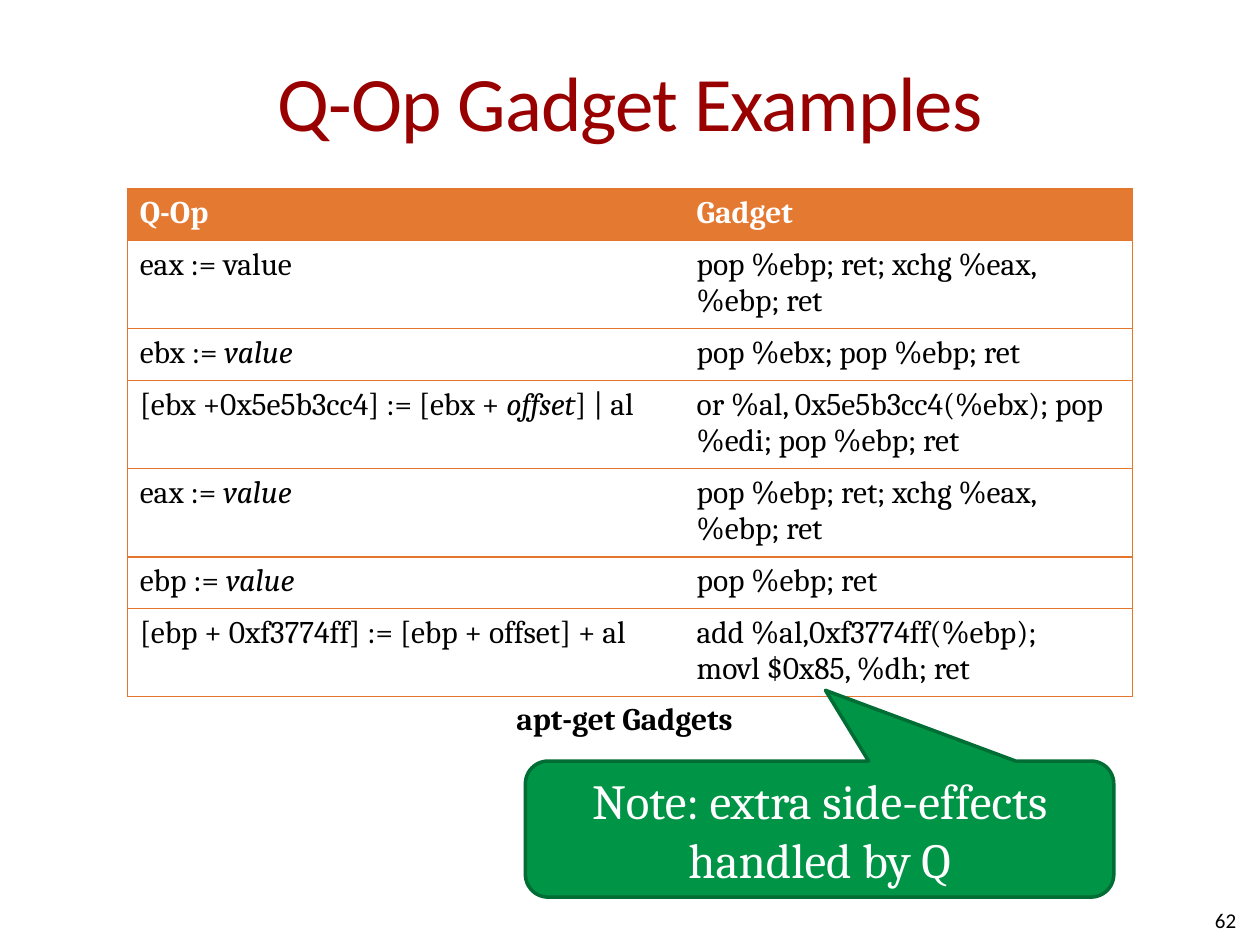
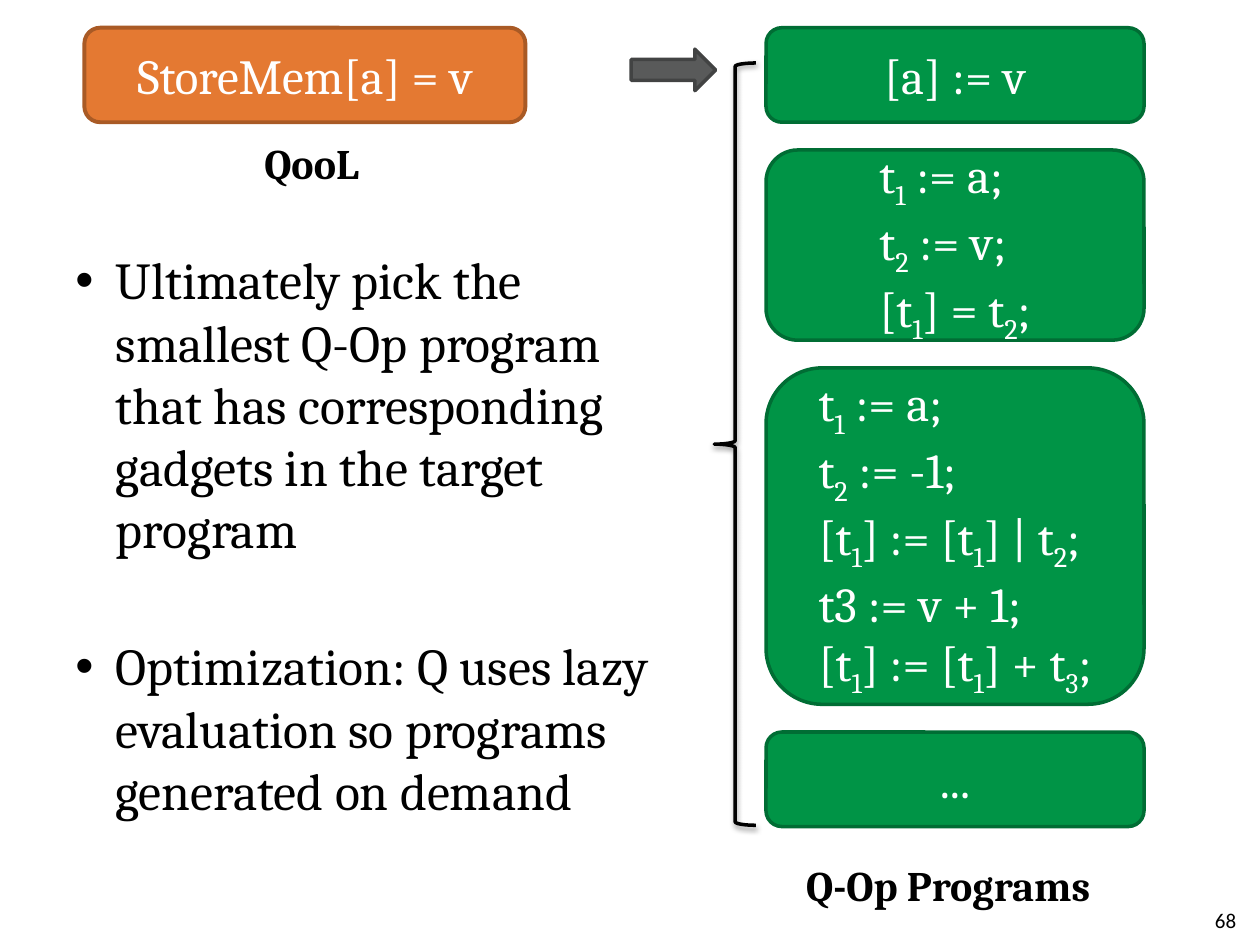
from pptx import Presentation
from pptx.dml.color import RGBColor
from pptx.enum.shapes import MSO_SHAPE
from pptx.enum.text import MSO_ANCHOR, PP_ALIGN
from pptx.oxml import parse_xml
from pptx.oxml.ns import nsdecls
from pptx.util import Pt

PX = 9144
BLACK = RGBColor(0x00, 0x00, 0x00)
WHITE = RGBColor(0xFF, 0xFF, 0xFF)
TITLE_RED = RGBColor(0x99, 0x00, 0x00)
ORANGE = RGBColor(0xE4, 0x79, 0x32)
DARK_ORANGE = RGBColor(0xA9, 0x5A, 0x25)
RULE_ORANGE = RGBColor(0xE3, 0x75, 0x2D)
GREEN = RGBColor(0x00, 0x94, 0x46)
DARK_GREEN = RGBColor(0x00, 0x6D, 0x34)
GRAY = RGBColor(0x59, 0x5A, 0x5A)
DARK_GRAY = RGBColor(0x42, 0x43, 0x43)
HEADING_FONT = "Calibri"
BODY_FONT = "Cambria"

GADGETS = [
    ("Q-Op", "Gadget"),
    ("eax := value", "pop %ebp; ret; xchg %eax, %ebp; ret"),
    ("ebx := ~value~", "pop %ebx; pop %ebp; ret"),
    ("[ebx +0x5e5b3cc4] := [ebx + ~offset~] | al",
     "or %al, 0x5e5b3cc4(%ebx); pop %edi; pop %ebp; ret"),
    ("eax := ~value~", "pop %ebp; ret; xchg %eax, %ebp; ret"),
    ("ebp := ~value~", "pop %ebp; ret"),
    ("[ebp + 0xf3774ff] := [ebp + offset] + al",
     "add %al,0xf3774ff(%ebp);\nmovl $0x85, %dh; ret"),
]
PROGRAMS = [
    (75, "[a] := v"),
    (151, "t~1~ := a;\nt~2~ := v;\n[t~1~] = t~2~;"),
    (267, "t~1~ := a;\nt~2~ := -1;\n[t~1~] := [t~1~] | t~2~;\n"
          "t3 := v + 1;\n[t~1~] := [t~1~] + t~3~;"),
    (75, "..."),
]
POINTS = ("Ultimately pick the smallest Q-Op program that has corresponding "
          "gadgets in the target program\n"
          "Optimization: Q uses lazy evaluation so programs generated on demand")


def write(frame, text, size=18, color=BLACK, font=BODY_FONT, bold=False,
          align=PP_ALIGN.LEFT, subscript=False, bullet=False, gap=0, tracking=0):
    """Fill a frame line by line; parts between tildes are subscript or italic."""
    for row, line in enumerate(text.split("\n")):
        para = frame.add_paragraph() if row else frame.paragraphs[0]
        para.alignment = align
        if bullet:
            props = para._p.get_or_add_pPr()
            props.set("marL", str(32 * PX))
            props.set("indent", str(-32 * PX))
            props.append(parse_xml(f'<a:buFont {nsdecls("a")} typeface="Arial"/>'))
            props.append(parse_xml(f'<a:buChar {nsdecls("a")} char="•"/>'))
        if row and gap:
            para.space_before = Pt(gap)
        for part, words in enumerate(line.split("~")):
            if not words:
                continue
            span = para.add_run()
            span.text = words
            span.font.name = font
            span.font.size = Pt(size)
            span.font.bold = bold
            span.font.color.rgb = color
            marked = part % 2 == 1
            span.font.italic = marked and not subscript
            if marked and subscript:
                span._r.get_or_add_rPr().set("baseline", "-25000")
            if tracking:
                span._r.get_or_add_rPr().set("spc", str(tracking))


class Deck:
    """Holds the presentation, its style and the current page."""

    def __init__(self):
        """Start a deck of ten by seven and a half inches."""
        self.deck = Presentation()
        self.deck.slide_width, self.deck.slide_height = 1000 * PX, 750 * PX
        self.page = None

    def add_page(self, number, title=None):
        """Open a blank page with its number and an optional title."""
        self.page = self.deck.slides.add_slide(self.deck.slide_layouts[6])
        if title:
            self.text(50, 17, 900, 125, title, anchor=MSO_ANCHOR.MIDDLE, size=44,
                      color=TITLE_RED, font=HEADING_FONT, align=PP_ALIGN.CENTER,
                      tracking=-50)
        self.text(758, 710, 233, 40, number, anchor=MSO_ANCHOR.MIDDLE, size=12,
                  font=HEADING_FONT, align=PP_ALIGN.RIGHT)

    def text(self, left, top, width, height, text, anchor=MSO_ANCHOR.TOP, **style):
        """Add a wrapped text box."""
        box = self.page.shapes.add_textbox(left * PX, top * PX, width * PX, height * PX)
        box.text_frame.word_wrap = True
        box.text_frame.vertical_anchor = anchor
        write(box.text_frame, text, **style)

    def shape(self, kind, left, top, width, height, fill=None, line=BLACK, weight=2):
        """Add a preset shape without shadow."""
        box = self.page.shapes.add_shape(kind, left * PX, top * PX, width * PX, height * PX)
        box.shadow.inherit = False
        if fill is None:
            box.fill.background()
        else:
            box.fill.solid()
            box.fill.fore_color.rgb = fill
        box.line.color.rgb = line
        box.line.width = Pt(weight)
        return box

    def label(self, box, text, align=PP_ALIGN.CENTER):
        """Write large white text in the middle of a shape."""
        box.text_frame.word_wrap = True
        box.text_frame.vertical_anchor = MSO_ANCHOR.MIDDLE
        write(box.text_frame, text, size=28, color=WHITE, align=align, subscript=True)

    def program(self, left, top, width, height, text):
        """Add a green box whose left-aligned lines are centred as a block."""
        box = self.shape(MSO_SHAPE.ROUNDED_RECTANGLE, left, top, width, height,
                         GREEN, DARK_GREEN)
        self.label(box, text, PP_ALIGN.LEFT)
        box.text_frame.word_wrap = False
        box.element.txBody.bodyPr.set("anchorCtr", "1")

    def brace(self, left, top, width, height):
        """Add a left brace with a soft shadow below it."""
        brace = self.shape(MSO_SHAPE.LEFT_BRACE, left, top, width, height)
        effects = brace.element.spPr.find("{*}effectLst")
        effects.append(parse_xml(
            f'<a:outerShdw {nsdecls("a")} blurRad="40000" dist="20000" dir="5400000" '
            'rotWithShape="0"><a:srgbClr val="000000"><a:alpha val="38000"/>'
            '</a:srgbClr></a:outerShdw>'))

    def table(self, left, top, widths, row_height, rows):
        """Add a table with an orange header, frame and row rules."""
        grid = self.page.shapes.add_table(
            len(rows), len(widths), left * PX, top * PX,
            sum(widths) * PX, len(rows) * row_height * PX).table
        grid.horz_banding = False
        for column, width in enumerate(widths):
            grid.columns[column].width = width * PX
        for row, texts in enumerate(rows):
            grid.rows[row].height = row_height * PX
            for column, text in enumerate(texts):
                cell = grid.cell(row, column)
                header = row == 0
                if header:
                    cell.fill.solid()
                    cell.fill.fore_color.rgb = ORANGE
                else:
                    cell.fill.background()
                write(cell.text_frame, text, color=WHITE if header else BLACK, bold=header)
                self.borders(cell, column == 0, column == len(widths) - 1)

    def borders(self, cell, first, last):
        """Rule a cell above and below, and on the outer sides of the table."""
        sides = {"lnL": first, "lnR": last, "lnT": True, "lnB": True}
        for place, (side, shown) in enumerate(sides.items()):
            paint = (f'<a:solidFill><a:srgbClr val="{RULE_ORANGE}"/></a:solidFill>'
                     if shown else "<a:noFill/>")
            cell._tc.get_or_add_tcPr().insert(place, parse_xml(
                f'<a:{side} {nsdecls("a")} w="{Pt(0.75)}">{paint}</a:{side}>'))


def gadget_page(deck):
    """Build the table of gadget examples."""
    deck.add_page("62", "Q-Op Gadget Examples")
    deck.table(101, 150, (442, 356), 41, GADGETS)
    note = deck.shape(MSO_SHAPE.ROUNDED_RECTANGULAR_CALLOUT, 417, 604, 467, 108,
                      GREEN, DARK_GREEN)
    note.adjustments[0], note.adjustments[1] = 0.01, -1.02
    deck.label(note, "Note: extra side-effects handled by Q")
    deck.text(400, 550, 200, 40, "apt-get Gadgets", bold=True)


def program_page(deck):
    """Build the translation of one statement into candidate programs."""
    deck.add_page("68")
    statement = deck.shape(MSO_SHAPE.ROUNDED_RECTANGLE, 67, 22, 350, 75,
                           ORANGE, DARK_ORANGE, 2.25)
    deck.label(statement, "StoreMem[a] = v")
    deck.shape(MSO_SHAPE.RIGHT_ARROW, 501, 39, 67, 33, GRAY, DARK_GRAY)
    top = gap = 22
    for height, text in PROGRAMS:
        deck.program(608, top, 300, height, text)
        top += height + gap
    deck.text(200, 104, 100, 50, "QooL", size=24, bold=True)
    deck.text(630, 677, 258, 50, "Q-Op Programs", size=24, bold=True)
    deck.brace(567, 50, 33, 605)
    deck.text(50, 192, 492, 478, POINTS, size=29.6, bullet=True, gap=43)


def main():
    """Build both pages and save the deck."""
    deck = Deck()
    gadget_page(deck)
    program_page(deck)
    deck.deck.save("out.pptx")


if __name__ == "__main__":
    main()
